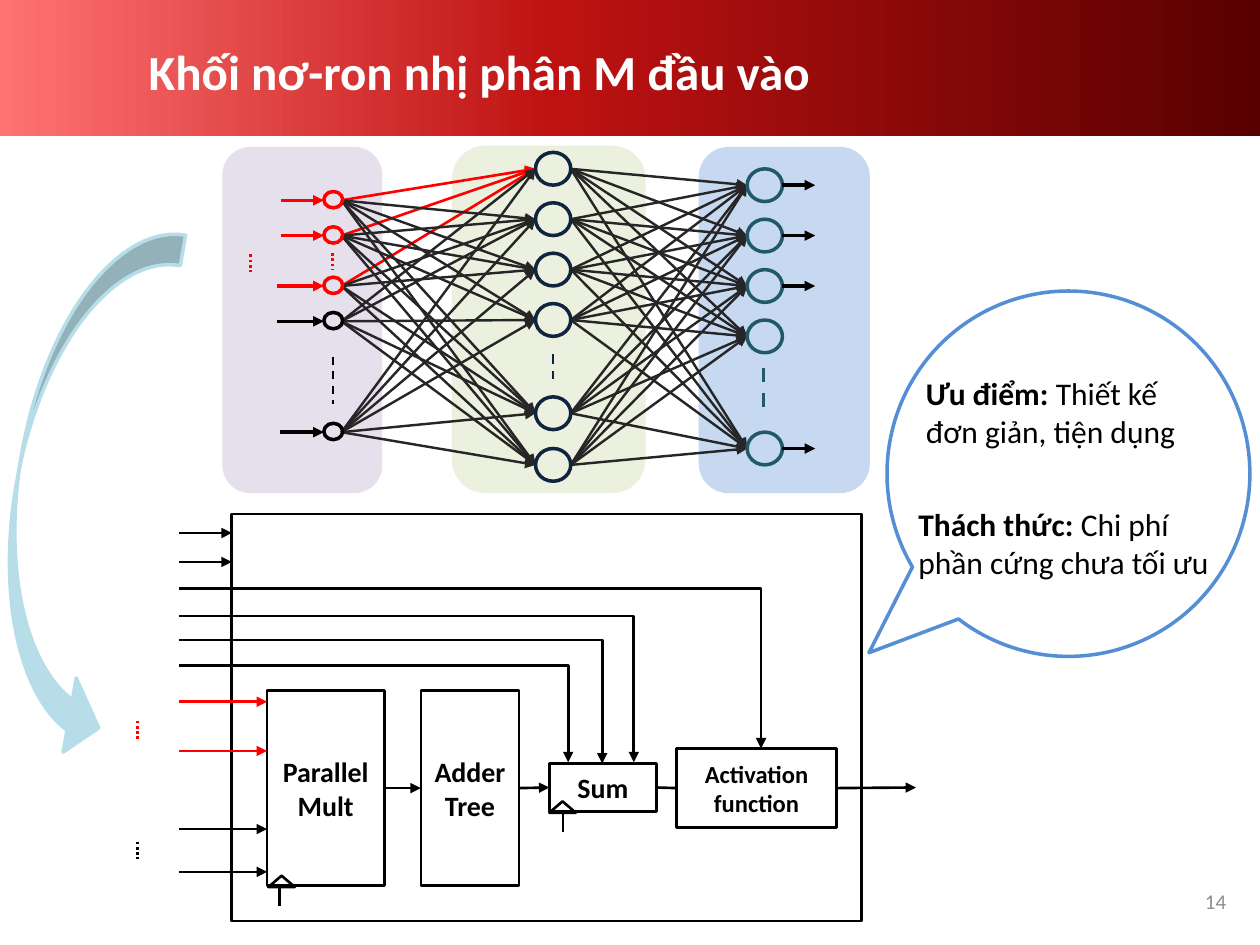
from itertools import product

from lxml.etree import SubElement
from pptx import Presentation
from pptx.dml.color import RGBColor
from pptx.enum.dml import MSO_LINE
from pptx.enum.shapes import MSO_CONNECTOR, MSO_SHAPE
from pptx.enum.text import MSO_ANCHOR, PP_ALIGN
from pptx.oxml.ns import qn
from pptx.util import Inches, Pt

FONT = "Calibri"
COLORS = {
    "black": "000000", "white": "FFFFFF", "red": "FF0000", "edge": "262626",
    "hidden": "0F243E", "output": "215968", "number": "8C8C8C",
    "input_panel": "E6E0EC", "hidden_panel": "EBF1DE", "output_panel": "C6D9F1",
    "callout": "558ED5", "arrow": "B7DEE8",
}
HEADER_STOPS = [(0, "FF7373"), (44, "BE1212"), (100, "580000")]

presentation = Presentation()
presentation.slide_width = Inches(10)
presentation.slide_height = Inches(7.5)
slide = presentation.slides.add_slide(presentation.slide_layouts[5])


def draw_shape(kind, box, line=None, width=1.5, fill=None):
    shape = slide.shapes.add_shape(kind, *map(Inches, box))
    shape.shadow.inherit = False
    if fill:
        shape.fill.solid()
        shape.fill.fore_color.rgb = RGBColor.from_string(COLORS[fill])
    else:
        shape.fill.background()
    if line:
        shape.line.color.rgb = RGBColor.from_string(COLORS[line])
        shape.line.width = Pt(width)
    else:
        shape.line.fill.background()
    return shape


def draw_line(start, end, color="black", width=1.5, arrow=True, dash=None, bent=False):
    """Draw a connector; a bent one runs across first, then down."""
    kind = MSO_CONNECTOR.ELBOW if bent else MSO_CONNECTOR.STRAIGHT
    connector = slide.shapes.add_connector(kind, *map(Inches, (*start, *end)))
    properties = connector._element.spPr
    if bent:
        properties.find(qn("a:prstGeom")).set("prst", "bentConnector2")
    connector.line.color.rgb = RGBColor.from_string(COLORS[color])
    connector.line.width = Pt(width)
    if dash:
        connector.line.dash_style = dash
    if arrow:
        SubElement(properties.find(qn("a:ln")), qn("a:tailEnd"), type="triangle")
    SubElement(properties, qn("a:effectLst"))
    return connector


# Header and title
header = draw_shape(MSO_SHAPE.RECTANGLE, (0, 0, 10, 1.08))
header.fill.gradient()
header.fill.gradient_angle = 0
stop_list = header._element.spPr.find(qn("a:gradFill")).find(qn("a:gsLst"))
for stop in list(stop_list):
    stop_list.remove(stop)
for position, color in HEADER_STOPS:
    stop = SubElement(stop_list, qn("a:gs"), pos=str(position * 1000))
    SubElement(stop, qn("a:srgbClr"), val=color)
header._element.getparent().insert(2, header._element)

title = slide.shapes.title
title.left, title.top, title.width, title.height = map(Inches, (1.08, 0.17, 8.42, 0.78))
title.text_frame.text = "Khối nơ-ron nhị phân M đầu vào"
title.text_frame.vertical_anchor = MSO_ANCHOR.MIDDLE
paragraph = title.text_frame.paragraphs[0]
paragraph.alignment = PP_ALIGN.LEFT
paragraph.font.name, paragraph.font.size, paragraph.font.bold = FONT, Pt(28), True
paragraph.font.color.rgb = RGBColor.from_string(COLORS["white"])

number = slide.shapes.add_textbox(*map(Inches, (7.5, 6.95, 2.33, 0.4)))
number.text_frame.text = "14"
number.text_frame.word_wrap = True
number.text_frame.vertical_anchor = MSO_ANCHOR.MIDDLE
paragraph = number.text_frame.paragraphs[0]
paragraph.alignment = PP_ALIGN.RIGHT
paragraph.font.name, paragraph.font.size = FONT, Pt(12)
paragraph.font.color.rgb = RGBColor.from_string(COLORS["number"])

# Block diagram of one neuron
draw_shape(MSO_SHAPE.RECTANGLE, (1.84, 4.08, 5, 3.23), "black", fill="white")
blocks = {}
for label, box, size in [
    ("Parallel Mult", (2.12, 5.48, 0.93, 1.55), 16),
    ("Adder Tree", (3.34, 5.48, 0.78, 1.55), 16),
    ("Sum", (4.36, 6.06, 0.85, 0.38), 16),
    ("Activation function", (5.37, 5.94, 1.27, 0.63), 14),
]:
    block = blocks[label] = draw_shape(MSO_SHAPE.RECTANGLE, box, "black", fill="white")
    frame = block.text_frame
    frame.text = label
    frame.word_wrap = True
    frame.vertical_anchor = MSO_ANCHOR.MIDDLE
    frame.margin_left = frame.margin_right = Inches(0.05)
    paragraph = frame.paragraphs[0]
    paragraph.alignment = PP_ALIGN.CENTER
    paragraph.font.name, paragraph.font.size, paragraph.font.bold = FONT, Pt(size), True
    paragraph.font.color.rgb = RGBColor.from_string(COLORS["black"])

chain = list(blocks.values())
for source, target in zip(chain, chain[1:]):
    link = draw_line((0, 0), (1, 1), arrow=target is not chain[-1])
    link.begin_connect(source, 3)
    link.end_connect(target, 1)
result = draw_line((6.64, 6.25), (7.27, 6.25))
result.begin_connect(chain[-1], 3)

for y, end_x, color in [
    (4.23, 1.84, "black"), (4.46, 1.84, "black"),
    (5.57, 2.12, "red"), (5.96, 2.12, "red"),
    (6.58, 2.12, "black"), (6.92, 2.12, "black"),
]:
    draw_line((1.42, y), (end_x, y), color)
for start_y, end in [
    (4.67, (6.04, 5.94)), (4.89, (5.03, 6.05)), (5.08, (4.78, 6.06)), (5.28, (4.51, 6.05)),
]:
    draw_line((1.42, start_y), end, bent=True)
for triangle_x, pin_x, bottom in [(2.13, 2.22, 7.03), (4.36, 4.47, 6.44)]:
    draw_shape(MSO_SHAPE.ISOSCELES_TRIANGLE, (triangle_x, bottom - 0.08, 0.21, 0.09), "black")
    draw_line((pin_x, bottom + 0.16), (pin_x, bottom), arrow=False)

# Neural network
for box, color in [
    ((5.56, 1.18, 1.33, 2.72), "output_panel"),
    ((3.6, 1.17, 1.51, 2.73), "hidden_panel"),
    ((1.78, 1.18, 1.24, 2.72), "input_panel"),
]:
    draw_shape(MSO_SHAPE.ROUNDED_RECTANGLE, box, color, 2, color)

inputs = [(1.59, 2.23, "red"), (1.87, 2.23, "red"), (2.27, 2.2, "red"),
          (2.55, 2.2, "black"), (3.43, 2.22, "black")]
hidden_rows = [1.34, 1.74, 2.14, 2.54, 3.28, 3.69]
output_rows = [1.47, 1.87, 2.27, 2.67, 3.56]
unlinked = [(2.55, 2.14), (2.27, 2.54)]

for hidden_y, (input_y, _, color) in product(hidden_rows, inputs):
    if (input_y, hidden_y) in unlinked:
        continue
    highlighted = color == "red" and hidden_y == hidden_rows[0]
    draw_line((2.71, input_y), (4.25, hidden_y),
              "red" if highlighted else "edge", 1.5 if highlighted else 1.4)
for hidden_y, output_y in product(hidden_rows, output_rows):
    draw_line((4.53, hidden_y), (5.93, output_y), "edge", 1.4)

for y, start_x, color in inputs:
    draw_line((start_x, y), (2.57, y), color, 2)
    draw_shape(MSO_SHAPE.OVAL, (2.57, y - 0.07, 0.15, 0.13), color, 2)
for x, rows, color in [(4.25, hidden_rows, "hidden"), (5.93, output_rows, "output")]:
    for y in rows:
        draw_shape(MSO_SHAPE.OVAL, (x, y - 0.13, 0.28, 0.26), color, 2)
for y in output_rows:
    if y != 2.67:
        draw_line((6.21, y), (6.47, y), width=2)

# Dashed marks for the rows left out
for x, top, bottom, color, width, dash in [
    (1.09, 5.72, 5.87, "red", 1.5, MSO_LINE.ROUND_DOT),
    (1.09, 6.68, 6.82, "black", 1.5, MSO_LINE.ROUND_DOT),
    (1.99, 2.02, 2.16, "red", 1.5, MSO_LINE.ROUND_DOT),
    (2.64, 2.01, 2.14, "red", 1.5, MSO_LINE.ROUND_DOT),
    (2.64, 2.83, 3.21, "black", 1.2, MSO_LINE.DASH),
    (4.39, 2.81, 3.01, "hidden", 1.4, MSO_LINE.DASH),
    (6.06, 2.92, 3.3, "output", 2, MSO_LINE.DASH),
]:
    draw_line((x, top), (x, bottom), color, width, False, dash)

# Callout and curved arrow
callout = draw_shape(MSO_SHAPE.OVAL_CALLOUT, (7.04, 2.31, 2.88, 2.9), "callout", 2)
callout.adjustments[0], callout.adjustments[1] = -0.55, 0.49
for box, heading, detail in [
    ((7.25, 2.92, 2.25, 0.71), "Ưu điểm:", " Thiết kế đơn giản, tiện dụng"),
    ((7.19, 3.96, 2.53, 0.71), "Thách thức:", " Chi phí phần cứng chưa tối ưu"),
]:
    note = slide.shapes.add_textbox(*map(Inches, box))
    note.text_frame.word_wrap = True
    paragraph = note.text_frame.paragraphs[0]
    paragraph.font.name, paragraph.font.size = FONT, Pt(18)
    paragraph.font.color.rgb = RGBColor.from_string(COLORS["black"])
    for text, bold in [(heading, True), (detail, False)]:
        run = paragraph.add_run()
        run.text = text
        run.font.bold = bold

curved_arrow = draw_shape(MSO_SHAPE.CURVED_RIGHT_ARROW, (0.13, 1.75, 0.98, 4.27),
                          "arrow", 2, "arrow")
curved_arrow.rotation = 10
for index, value in enumerate([0.25, 0.61, 0.25]):
    curved_arrow.adjustments[index] = value

presentation.save("out.pptx")
